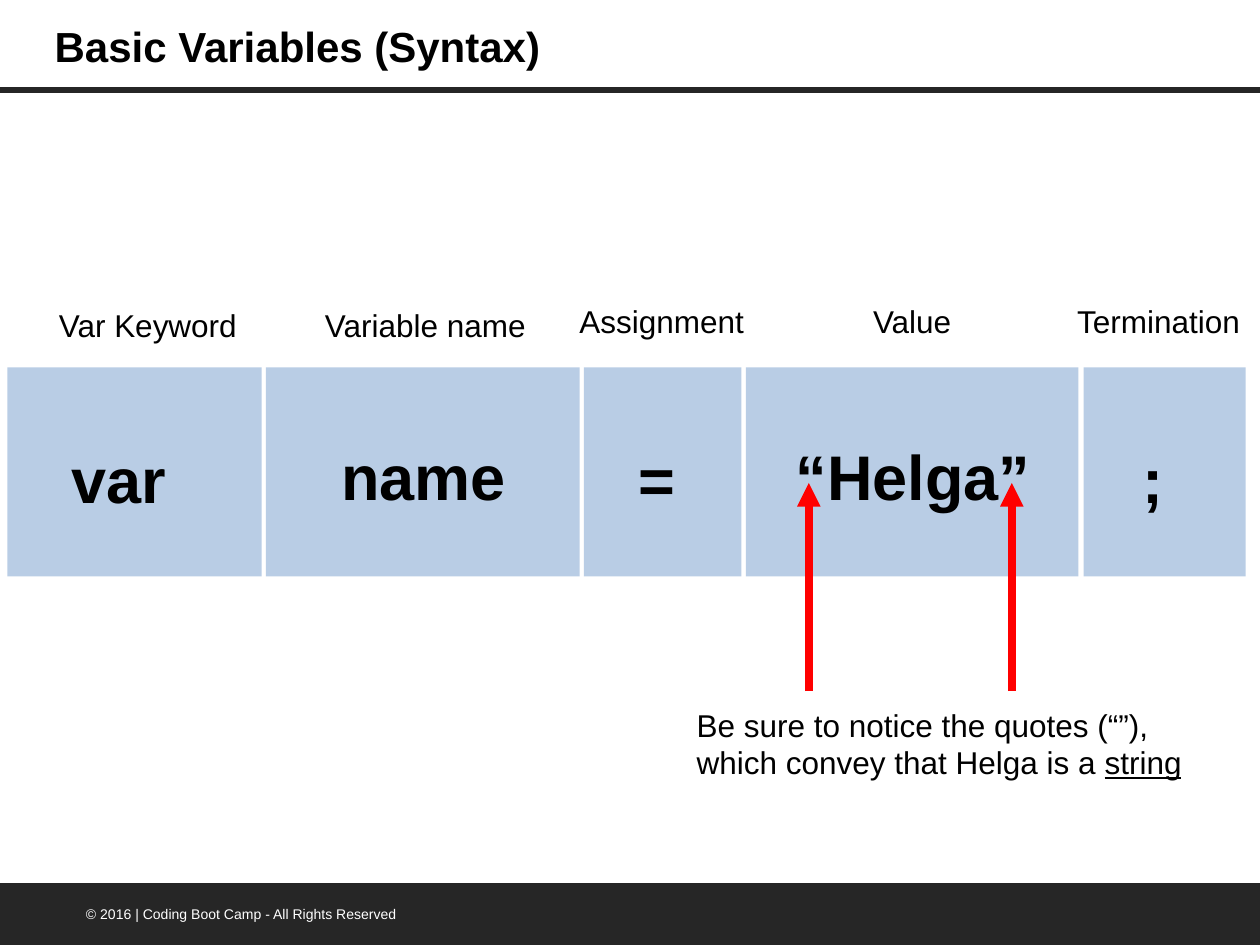
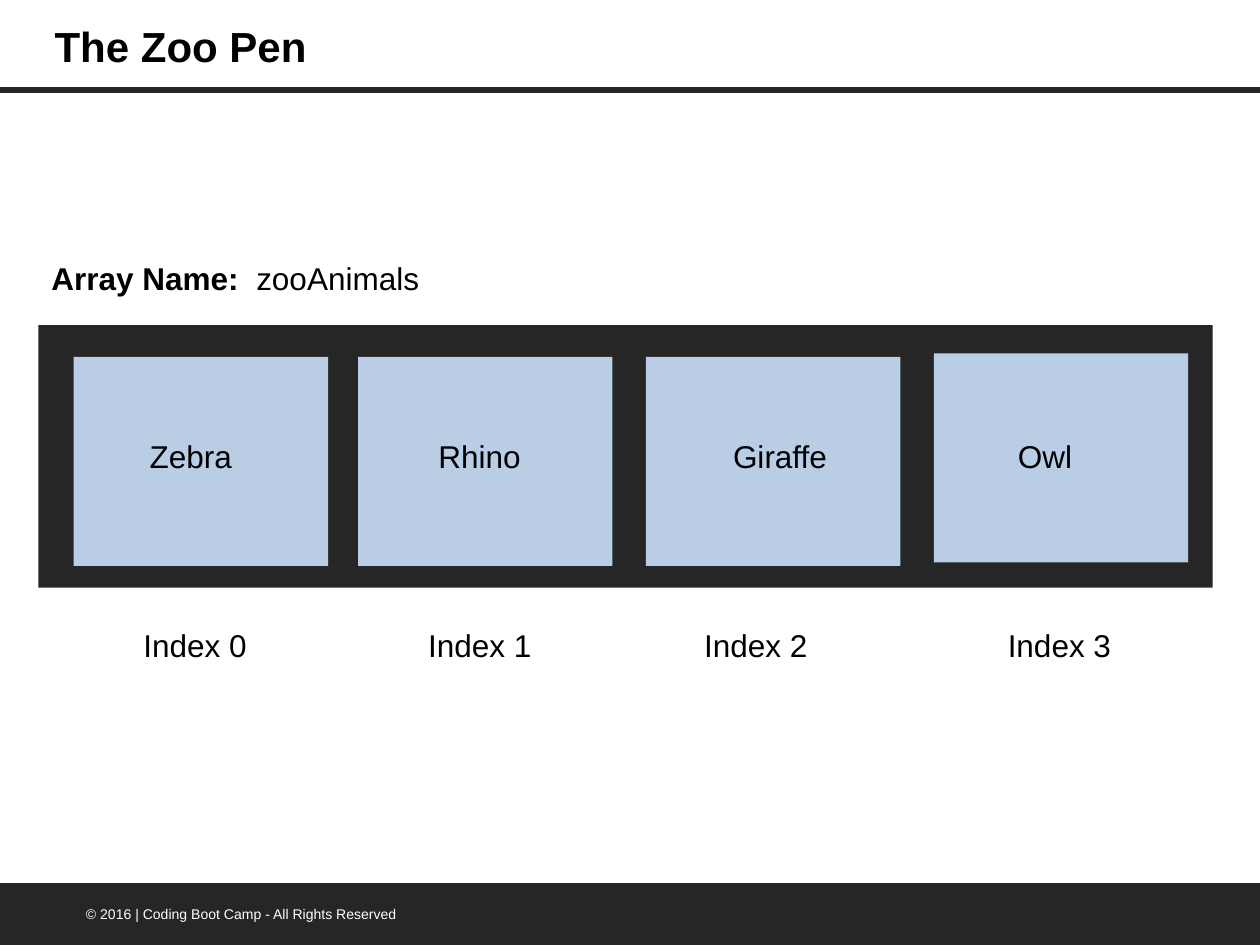
from lxml.etree import SubElement
from pptx import Presentation
from pptx.dml.color import RGBColor
from pptx.enum.shapes import MSO_CONNECTOR, MSO_SHAPE, MSO_SHAPE_TYPE
from pptx.enum.text import MSO_ANCHOR, MSO_AUTO_SIZE, PP_ALIGN
from pptx.oxml.ns import qn
from pptx.util import Pt

COLORS = {name: RGBColor.from_string(value) for name, value in {
    "dark": "262626",
    "tile": "B9CDE5",
    "arrow": "FF0000",
    "text": "000000",
    "light": "FFFFFF",
}.items()}
FONT = "Arial"
TILE_WIDTH, TILE_HEIGHT = 145.4, 119.4


def add_block(page, left, top, width, height, color, kind=MSO_SHAPE.RECTANGLE):
    block = page.shapes.add_shape(kind, Pt(left), Pt(top), Pt(width), Pt(height))
    block.shadow.inherit = False
    block.fill.solid()
    block.fill.fore_color.rgb = COLORS[color]
    block.line.fill.background()


def write(frame, lines, size=18, color="text", bold=False, align=PP_ALIGN.LEFT,
          wrap=False, grow=True):
    """Fill a text frame; each line is a string or a list of (text, font attributes)."""
    frame.word_wrap = wrap
    frame.auto_size = MSO_AUTO_SIZE.SHAPE_TO_FIT_TEXT if grow else MSO_AUTO_SIZE.NONE
    for number, line in enumerate([lines] if isinstance(lines, str) else lines):
        para = frame.add_paragraph() if number else frame.paragraphs[0]
        para.alignment = align
        for text, extra in [(line, {})] if isinstance(line, str) else line:
            span = para.add_run()
            span.text = text
            span.font.name = FONT
            span.font.size = Pt(size)
            span.font.color.rgb = COLORS[color]
            span.font.bold = extra.get("bold", bold)
            if extra.get("underline"):
                span.font.underline = True


deck = Presentation()
deck.slide_width, deck.slide_height = Pt(720), Pt(540)

# Title, rule and footer on every slide
for title in ("Basic Variables (Syntax)", "The Zoo Pen"):
    page = deck.slides.add_slide(deck.slide_layouts[5])
    heading = page.shapes.title
    heading.left, heading.top, heading.width, heading.height = Pt(24), Pt(0), Pt(430.6), Pt(52)
    heading.text_frame.vertical_anchor = MSO_ANCHOR.MIDDLE
    write(heading.text_frame, title, size=24, bold=True, wrap=True, grow=False)

    rule = page.shapes.add_connector(MSO_CONNECTOR.STRAIGHT, Pt(0), Pt(51.6), Pt(720), Pt(51.6))
    rule.line.color.rgb = COLORS["dark"]
    rule.line.width = Pt(3.25)

    add_block(page, -0.5, 504.6, 721, 36, "dark", MSO_SHAPE.FLOWCHART_PROCESS)
    box = page.shapes.add_textbox(Pt(42), Pt(514.1), Pt(219.6), Pt(17))
    write(box.text_frame, "© 2016 | Coding Boot Camp - All Rights Reserved",
          size=8, color="light", wrap=True)

syntax_page, zoo_page = deck.slides

# Parts of the statement: tile left and width
for left, width in ((4.2, TILE_WIDTH), (151.9, 179.3), (333.6, 90), (426.2, 190.1), (619.2, 92.7)):
    add_block(syntax_page, left, 210, width, TILE_HEIGHT, "tile")

# Code words: text, left, top, width, alignment
for word, left, top, width, align in (
    ("var", 33.8, 248, 111.6, PP_ALIGN.LEFT),
    ("name", 187.9, 246.2, 150.5, PP_ALIGN.LEFT),
    ("=", 357.8, 248.4, 67, PP_ALIGN.LEFT),
    ("“Helga”", 440.6, 246.2, 162, PP_ALIGN.CENTER),
    (";", 645.8, 248.4, 67, PP_ALIGN.LEFT),
):
    box = syntax_page.shapes.add_textbox(Pt(left), Pt(top), Pt(width), Pt(51))
    write(box.text_frame, word, size=36, bold=True, align=align, wrap=True)

# Captions: text, left, top, width
for caption, left, top, width in (
    ("Var Keyword", 26.6, 171.4, 117.4),
    ("Variable name", 178.6, 171.4, 130.3),
    ("Assignment", 324, 169.2, 109.4),
    ("Value", 491.8, 169.2, 59.8),
    ("Termination", 608.4, 169.2, 108.7),
):
    box = syntax_page.shapes.add_textbox(Pt(left), Pt(top), Pt(width), Pt(29))
    write(box.text_frame, caption)

box = syntax_page.shapes.add_textbox(Pt(391), Pt(399.6), Pt(294.5), Pt(51))
write(box.text_frame, [
    "Be sure to notice the quotes (“”),",
    [("which convey that Helga is a ", {}), ("string", {"underline": True})],
])

for quote_x in (578.2, 462.2):
    arrow = syntax_page.shapes.add_connector(
        MSO_CONNECTOR.STRAIGHT, Pt(quote_x), Pt(395), Pt(quote_x), Pt(276))
    arrow.line.color.rgb = COLORS["arrow"]
    arrow.line.width = Pt(4.5)
    SubElement(arrow.line._get_or_add_ln(), qn("a:tailEnd"), type="triangle")

# Array drawn as a pen with one tile per animal
box = zoo_page.shapes.add_textbox(Pt(22.3), Pt(144.7), Pt(226.8), Pt(29))
write(box.text_frame, [[("Array Name:  ", {"bold": True}), ("zooAnimals", {})]])
add_block(zoo_page, 22, 185.8, 671, 150, "dark")

# Animal, tile left and top, name left and width, index left and width
for index, (animal, left, top, name_left, name_width, index_left, index_width) in enumerate((
    ("Zebra", 42.1, 204, 78.5, 61.9, 74.9, 79.2),
    ("Rhino", 204.6, 204, 243.4, 61.9, 237.6, 74.2),
    ("Giraffe", 369.1, 204, 411.8, 68.4, 395.3, 74.2),
    ("Owl", 533.6, 202, 574.6, 46.1, 568.8, 74.2),
)):
    add_block(zoo_page, left, top, TILE_WIDTH, TILE_HEIGHT, "tile")
    for text, text_left, text_top, width in (
        (animal, name_left, 246.2, name_width),
        (f"Index {index}", index_left, 354.2, index_width),
    ):
        box = zoo_page.shapes.add_textbox(Pt(text_left), Pt(text_top), Pt(width), Pt(29))
        write(box.text_frame, text)

# Connectors carry no shadow
for page in deck.slides:
    for shape in page.shapes:
        if shape.shape_type == MSO_SHAPE_TYPE.LINE:
            SubElement(shape._element.spPr, qn("a:effectLst"))

deck.save("out.pptx")
